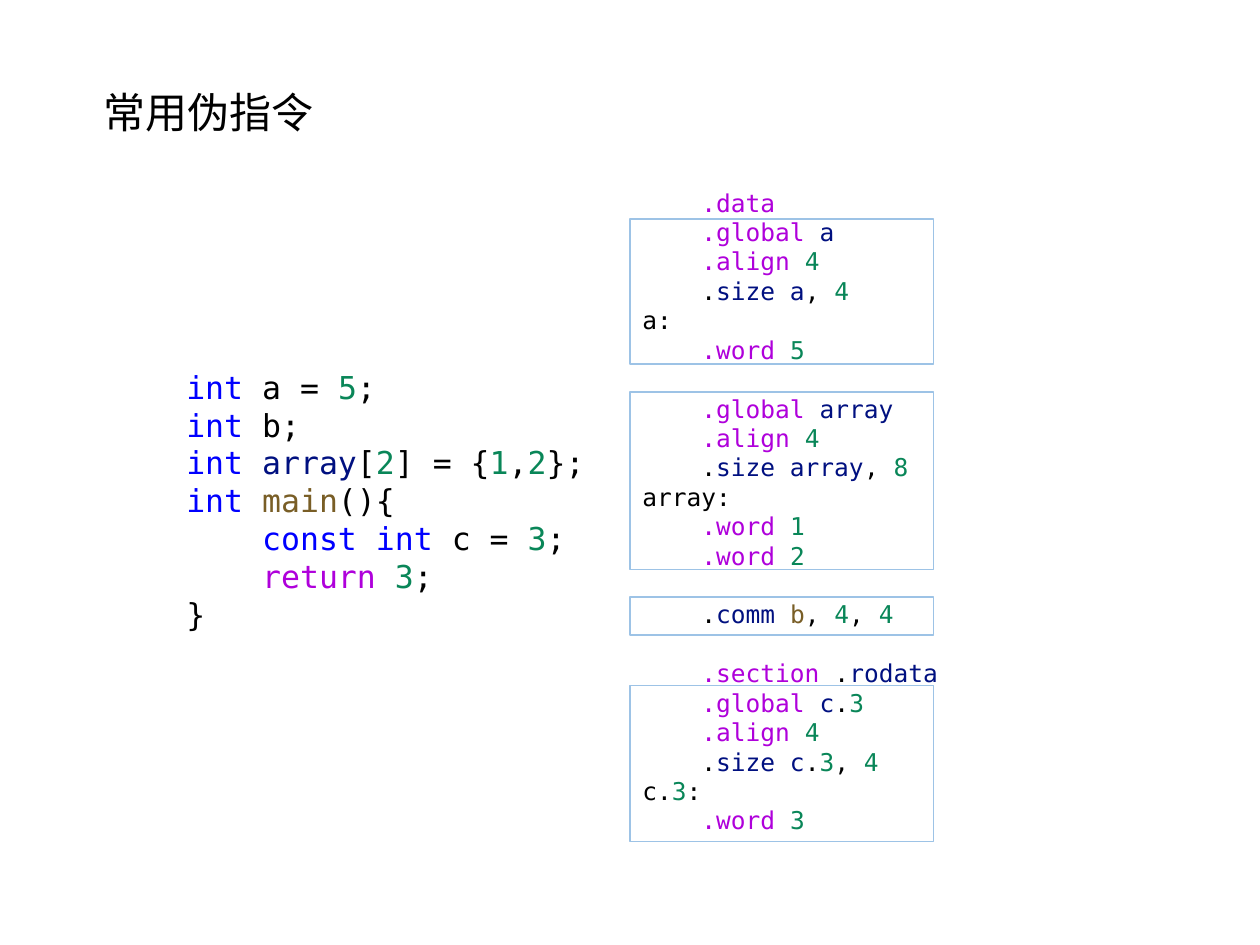
from lxml import etree
from pptx import Presentation
from pptx.dml.color import RGBColor
from pptx.enum.shapes import MSO_SHAPE
from pptx.enum.text import MSO_ANCHOR, PP_ALIGN
from pptx.oxml.ns import qn
from pptx.util import Inches, Pt

CODE_FONT = "DejaVu Sans Mono"
TITLE_FONT = "Noto Sans CJK SC"
CHAR_WIDTH = 0.602  # of the code font, in ems
LINE_PITCH = 1.2
TAB = 4

# Each code line is split at "|"; the first letter of a piece picks its colour.
COLORS = {
    "T": "000000",  # plain text
    "K": "0000FF",  # keyword
    "N": "098658",  # number
    "V": "001080",  # variable
    "F": "795E26",  # function
    "D": "AF00DB",  # directive
}

C_SOURCE = """\
Kint|T a = |N5|T;
Kint|T b;
Kint |Varray|T[|N2|T] = {|N1|T,|N2|T};
Kint |Fmain|T(){
    Kconst int|T c = |N3|T;
    Dreturn |N3|T;
T}"""

ASSEMBLY = """\
    D.data
    D.global |Va
    D.align |N4
    T.|Vsize a|T, |N4
Ta:
    D.word |N5

    D.global |Varray
    D.align |N4
    T.|Vsize array|T, |N8
Tarray:
    D.word |N1
    D.word |N2

    T.|Vcomm |Fb|T, |N4|T, |N4

    D.section|T .|Vrodata
    D.global |Vc|T.|N3
    D.align |N4
    T.|Vsize c|T.|N3|T, |N4
Tc.|N3|T:
    D.word |N3"""

# Top and height of the frame round each symbol's directives
SYMBOL_FRAMES = [(1.74, 1.15), (3.11, 1.41), (5.44, 1.24), (4.74, 0.3)]


def rgb(color):
    return RGBColor.from_string(color)


def add_rect(slide, box, fill=None, line=None):
    sp = slide.shapes.add_shape(MSO_SHAPE.RECTANGLE, *map(Inches, box))
    sp.shadow.inherit = False
    if fill:
        sp.fill.solid()
        sp.fill.fore_color.rgb = rgb(fill)
    else:
        sp.fill.background()
    if line:
        sp.line.color.rgb = rgb(line)
        sp.line.width = Pt(1)
    else:
        sp.line.fill.background()
    return sp


def add_title(slide, box, text):
    tf = slide.shapes.add_textbox(*map(Inches, box)).text_frame
    tf.word_wrap = True
    tf.text = text
    r = tf.paragraphs[0].runs[0]
    r.font.size = Pt(24)
    r.font.name = TITLE_FONT
    r.font.color.rgb = rgb("000000")
    ea = etree.SubElement(r.font._element, qn("a:ea"))
    ea.set("typeface", TITLE_FONT)


def add_code(slide, box, source, size):
    """Place coloured code; an empty source line becomes space above the next."""
    tf = add_rect(slide, box, fill="FFFFFF").text_frame
    tf.word_wrap = True
    tf.vertical_anchor = MSO_ANCHOR.TOP
    pitch = Pt(size * LINE_PITCH)
    p, gap = tf.paragraphs[0], 0
    for number, line in enumerate(source.splitlines()):
        if not line:
            gap = pitch
            continue
        if number:
            p = tf.add_paragraph()
        p.alignment = PP_ALIGN.LEFT
        p.line_spacing = pitch
        p.space_before, gap = gap, 0
        code = line.lstrip()
        indent = Pt((len(line) - len(code)) // TAB * TAB * CHAR_WIDTH * size)
        p._p.get_or_add_pPr().set("marL", str(indent))
        for piece in code.split("|"):
            r = p.add_run()
            r.text = piece[1:]
            r.font.size = Pt(size)
            r.font.name = CODE_FONT
            r.font.color.rgb = rgb(COLORS[piece[0]])


def add_assembly(slide, box):
    add_code(slide, box, ASSEMBLY, 14)
    for top, height in SYMBOL_FRAMES:
        add_rect(slide, (box[0], top, 2.41, height), line="9DC3E6")


def main():
    prs = Presentation()
    prs.slide_width, prs.slide_height = Inches(10), Inches(7.5)
    s = prs.slides.add_slide(prs.slide_layouts[6])
    add_title(s, (0.72, 0.64, 6.32, 0.5), "常用伪指令")
    add_code(s, (1.38, 2.87, 3.62, 2.83), C_SOURCE, 18)
    add_assembly(s, (5, 1.44, 4.66, 5.49))
    prs.save("out.pptx")


if __name__ == "__main__":
    main()
